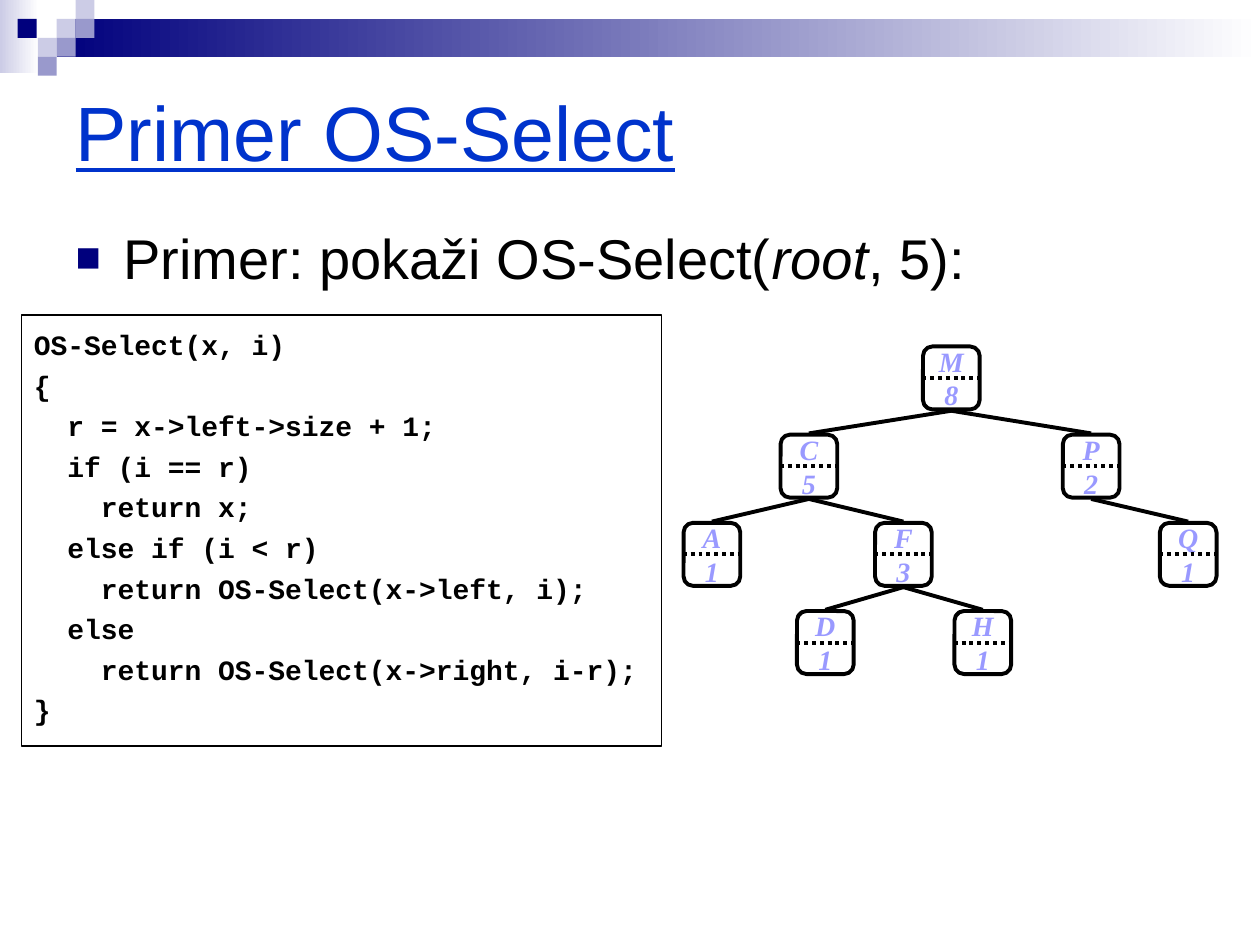
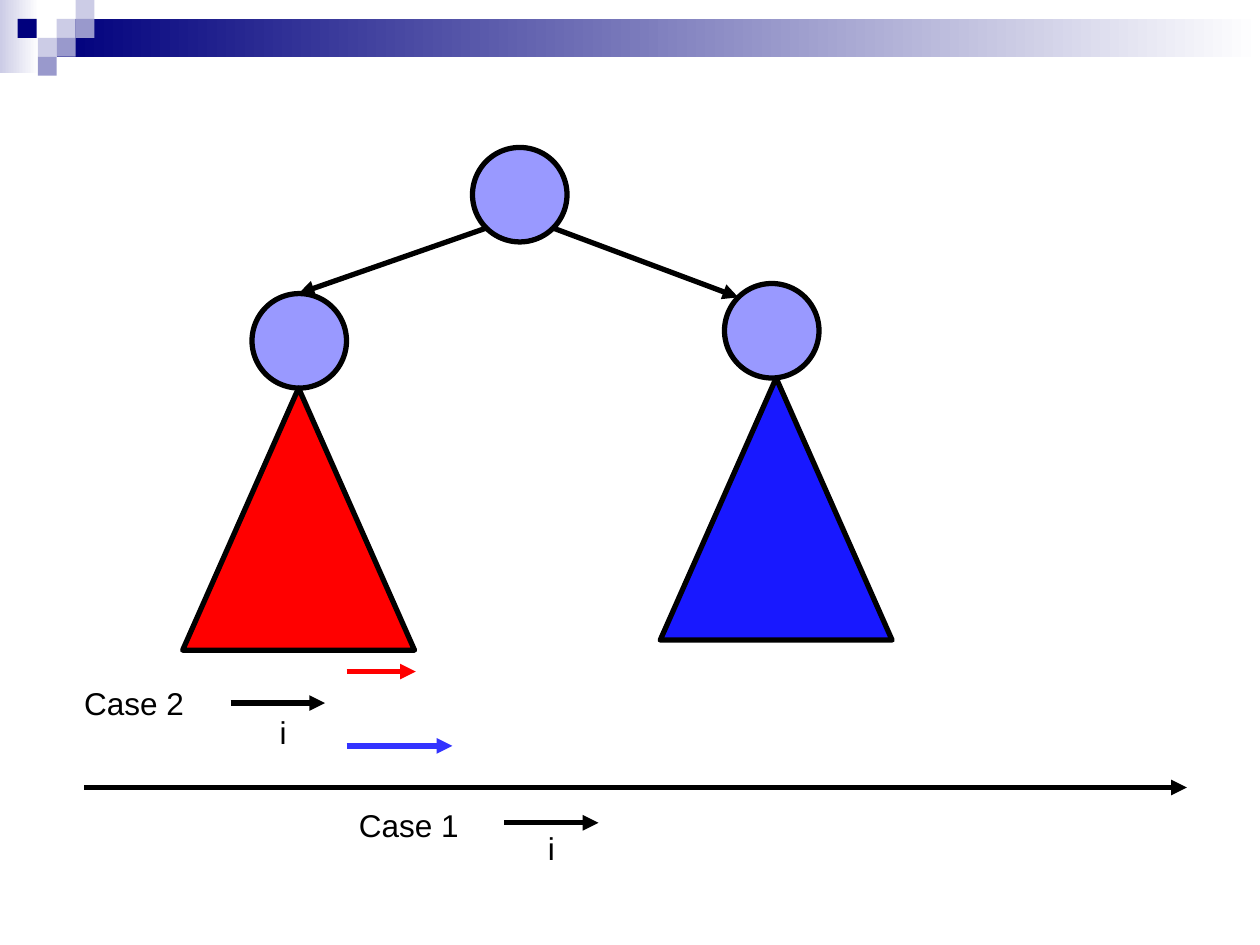
from dataclasses import dataclass

from lxml import etree
from pptx import Presentation
from pptx.dml.color import RGBColor
from pptx.enum.dml import MSO_LINE
from pptx.enum.shapes import MSO_CONNECTOR, MSO_SHAPE
from pptx.enum.text import MSO_ANCHOR, MSO_AUTO_SIZE, PP_ALIGN
from pptx.oxml.ns import qn
from pptx.util import Inches, Pt

# Enum members
RECTANGLE = MSO_SHAPE.RECTANGLE
ROUNDED = MSO_SHAPE.ROUNDED_RECTANGLE
CIRCLE = MSO_SHAPE.OVAL
TRIANGLE = MSO_SHAPE.ISOSCELES_TRIANGLE
STRAIGHT = MSO_CONNECTOR.STRAIGHT
DOTTED = MSO_LINE.ROUND_DOT
LEFT, CENTER = PP_ALIGN.LEFT, PP_ALIGN.CENTER
TOP, MIDDLE = MSO_ANCHOR.TOP, MSO_ANCHOR.MIDDLE
FIXED_SIZE, FIT_TEXT = MSO_AUTO_SIZE.NONE, MSO_AUTO_SIZE.SHAPE_TO_FIT_TEXT

# Colours and fonts
BLACK = RGBColor(0x00, 0x00, 0x00)
WHITE = RGBColor(0xFF, 0xFF, 0xFF)
NAVY = RGBColor(0x00, 0x00, 0x7D)
PALE = RGBColor(0xCC, 0xCC, 0xE6)
LAVENDER = RGBColor(0x99, 0x99, 0xCC)
PERIWINKLE = RGBColor(0x99, 0x99, 0xFF)
TITLE_BLUE = RGBColor(0x00, 0x33, 0xCC)
TREE_BLUE = RGBColor(0x18, 0x18, 0xFF)
ARROW_BLUE = RGBColor(0x33, 0x33, 0xFF)
RED = RGBColor(0xFF, 0x00, 0x00)
SANS, MONO, SERIF = "Arial", "Courier New", "Times New Roman"

CODE = """OS-Select(x, i)
{
  r = x->left->size + 1;
  if (i == r)
    return x;
  else if (i < r)
    return OS-Select(x->left, i);
  else
    return OS-Select(x->right, i-r);
}"""


@dataclass(frozen=True)
class Tile:
    left: float
    top: float
    color: RGBColor


@dataclass(frozen=True)
class TreeNode:
    key: str
    size: int
    center: float
    depth: int
    parent: str = ""


@dataclass(frozen=True)
class Arrow:
    start: tuple[float, float]
    end: tuple[float, float]
    color: RGBColor = BLACK


@dataclass(frozen=True)
class Figure:
    kind: MSO_SHAPE
    left: float
    top: float
    width: float
    height: float
    color: RGBColor


@dataclass(frozen=True)
class Label:
    text: str
    left: float
    top: float
    width: float
    wraps: bool


TILE_SIZE = 0.15
TILES = [
    Tile(0.45, 0.15, PALE),
    Tile(0.6, 0, PALE),
    Tile(0.6, 0.15, LAVENDER),
    Tile(0.3, 0.3, PALE),
    Tile(0.14, 0.15, NAVY),
    Tile(0.45, 0.3, LAVENDER),
    Tile(0.3, 0.45, LAVENDER),
]

TREE = [
    TreeNode("M", 8, 7.55, 0),
    TreeNode("C", 5, 6.42, 1, "M"),
    TreeNode("P", 2, 8.66, 1, "M"),
    TreeNode("Q", 1, 9.43, 2, "P"),
    TreeNode("A", 1, 5.65, 2, "C"),
    TreeNode("F", 3, 7.17, 2, "C"),
    TreeNode("D", 1, 6.55, 3, "F"),
    TreeNode("H", 1, 7.8, 3, "F"),
]
TREE_TOP, LEVEL_STEP = 2.75, 0.7
NODE_WIDTH, NODE_HEIGHT = 0.45, 0.5

DIAMETER = 0.75
FIGURES = [
    Figure(CIRCLE, 3.75, 1.17, DIAMETER, DIAMETER, PERIWINKLE),
    Figure(CIRCLE, 5.75, 2.25, DIAMETER, DIAMETER, PERIWINKLE),
    Figure(CIRCLE, 2, 2.33, DIAMETER, DIAMETER, PERIWINKLE),
    Figure(TRIANGLE, 1.45, 3.08, 1.84, 2.08, RED),
    Figure(TRIANGLE, 5.24, 3, 1.84, 2.08, TREE_BLUE),
]
ARROWS = [
    Arrow((3.86, 1.81), (2.37, 2.33)),
    Arrow((4.39, 1.81), (5.86, 2.36)),
    Arrow((1.83, 5.58), (2.58, 5.58)),
    Arrow((2.75, 5.33), (3.3, 5.33), RED),
    Arrow((0.67, 6.25), (9.42, 6.25)),
    Arrow((2.75, 5.92), (3.59, 5.92), ARROW_BLUE),
    Arrow((4, 6.53), (4.75, 6.53)),
]
LABELS = [
    Label("i", 2.12, 5.61, 0.25, False),
    Label("i", 4.25, 6.53, 0.25, False),
    Label("Case 2", 0.57, 5.38, 1.79, True),
    Label("Case 1", 2.75, 6.35, 1.79, True),
]


# Drawing helpers
def set_font(paragraph, name: str, size: float, color: RGBColor,
             bold: bool = False, italic: bool = False) -> None:
    font = paragraph.font
    font.name, font.size, font.bold, font.italic = name, Pt(size), bold, italic
    font.color.rgb = color


def place(shape, left: float, top: float, width: float, height: float) -> None:
    shape.left, shape.top = Inches(left), Inches(top)
    shape.width, shape.height = Inches(width), Inches(height)


def add_figure(slide, kind: MSO_SHAPE, left: float, top: float, width: float,
               height: float, color: RGBColor | None = None, line_width: float = 0):
    shape = slide.shapes.add_shape(
        kind, Inches(left), Inches(top), Inches(width), Inches(height))
    shape.shadow.inherit = False
    if color is None:
        shape.fill.background()
    else:
        shape.fill.solid()
        shape.fill.fore_color.rgb = color
    if line_width:
        shape.line.color.rgb = BLACK
        shape.line.width = Pt(line_width)
    else:
        shape.line.fill.background()
    return shape


def add_fade(slide, left: float, top: float, width: float, height: float,
             color: RGBColor) -> None:
    shape = add_figure(slide, RECTANGLE, left, top, width, height)
    shape.fill.gradient()
    shape.fill.gradient_angle = 0
    for stop, stop_color in zip(shape.fill.gradient_stops, (color, WHITE)):
        stop.color.rgb = stop_color


def add_line(slide, start: tuple[float, float], end: tuple[float, float],
             width: float, color: RGBColor = BLACK):
    line = slide.shapes.add_connector(
        STRAIGHT, *(Inches(value) for value in (*start, *end)))
    line.line.color.rgb = color
    line.line.width = Pt(width)
    etree.SubElement(line.element.spPr, qn("a:effectLst"))
    return line


def add_arrow(slide, arrow: Arrow) -> None:
    line = add_line(slide, arrow.start, arrow.end, 3, arrow.color)
    outline = line.element.spPr.find(qn("a:ln"))
    etree.SubElement(outline, qn("a:tailEnd"), type="triangle")


def add_label(slide, label: Label) -> None:
    box = slide.shapes.add_textbox(
        Inches(label.left), Inches(label.top), Inches(label.width), Inches(0.4))
    frame = box.text_frame
    frame.word_wrap = label.wraps
    frame.auto_size = FIT_TEXT
    frame.text = label.text
    set_font(frame.paragraphs[0], SANS, 18, BLACK)


def add_bullet(paragraph) -> None:
    properties = paragraph._p.get_or_add_pPr()
    properties.set("marL", str(Inches(0.38)))
    properties.set("indent", str(-Inches(0.38)))
    color = etree.SubElement(properties, qn("a:buClr"))
    etree.SubElement(color, qn("a:srgbClr"), val=str(NAVY))
    etree.SubElement(properties, qn("a:buSzPct"), val="75000")
    etree.SubElement(properties, qn("a:buFont"), typeface=SANS)
    etree.SubElement(properties, qn("a:buChar"), char="■")


def add_slide(deck, layout_index: int):
    """Add a slide with the shared band and tiles along its top."""
    slide = deck.slides.add_slide(deck.slide_layouts[layout_index])
    add_fade(slide, 0, 0, 0.31, 0.58, PALE)
    add_fade(slide, 0.45, 0.15, 9.55, 0.3, NAVY)
    for tile in TILES:
        add_figure(slide, RECTANGLE, tile.left, tile.top, TILE_SIZE, TILE_SIZE, tile.color)
    return slide


# Parts of the example slide
def fill_title(title) -> None:
    place(title, 0.5, 0.5, 9, 1.08)
    frame = title.text_frame
    frame.text = "Primer OS-Select"
    frame.vertical_anchor = MIDDLE
    frame.auto_size = FIXED_SIZE
    paragraph = frame.paragraphs[0]
    paragraph.alignment = LEFT
    set_font(paragraph, SANS, 44, TITLE_BLUE)
    paragraph.font.underline = True


def fill_body(body) -> None:
    place(body, 0.5, 1.67, 9, 4.25)
    frame = body.text_frame
    frame.auto_size = FIXED_SIZE
    frame.margin_top = Inches(0.1)
    paragraph = frame.paragraphs[0]
    paragraph.space_before = Pt(0)
    add_bullet(paragraph)
    set_font(paragraph, SANS, 32, BLACK)
    for text, italic in (("Primer: pokaži OS-Select(", False), ("root", True), (", 5):", False)):
        span = paragraph.add_run()
        span.text = text
        if italic:
            span.font.italic = True


def add_code(slide) -> None:
    box = add_figure(slide, RECTANGLE, 0.17, 2.5, 5.08, 3.42, line_width=0.75)
    frame = box.text_frame
    frame.word_wrap = True
    frame.vertical_anchor = TOP
    frame.margin_top = Inches(0.1)
    frame.text = CODE
    for index, paragraph in enumerate(frame.paragraphs):
        paragraph.alignment = LEFT
        paragraph.space_before = Pt(4 if index else 0)
        set_font(paragraph, MONO, 16, BLACK, bold=True)


def add_tree(slide) -> None:
    nodes = {node.key: node for node in TREE}
    for node in TREE:
        top = TREE_TOP + node.depth * LEVEL_STEP
        box = add_figure(slide, ROUNDED, node.center - NODE_WIDTH / 2, top,
                         NODE_WIDTH, NODE_HEIGHT, line_width=2.25)
        frame = box.text_frame
        frame.word_wrap = False
        frame.vertical_anchor = MIDDLE
        frame.text = f"{node.key}\v{node.size}"
        frame.paragraphs[0].alignment = CENTER
        set_font(frame.paragraphs[0], SERIF, 16, PERIWINKLE, bold=True, italic=True)

        middle = top + NODE_HEIGHT / 2
        divider = add_line(slide, (node.center - 0.23, middle), (node.center + 0.23, middle), 2.25)
        divider.line.dash_style = DOTTED
        if node.parent:
            parent_bottom = top - LEVEL_STEP + NODE_HEIGHT
            add_line(slide, (nodes[node.parent].center, parent_bottom + 0.01),
                     (node.center, top - 0.01), 2.25)


def build_example(deck) -> None:
    slide = add_slide(deck, 1)
    fill_title(slide.shapes.title)
    fill_body(slide.placeholders[1])
    add_tree(slide)
    add_code(slide)


def build_cases(deck) -> None:
    slide = add_slide(deck, 6)
    for figure in FIGURES:
        add_figure(slide, figure.kind, figure.left, figure.top,
                   figure.width, figure.height, figure.color, line_width=3)
    for arrow in ARROWS:
        add_arrow(slide, arrow)
    for label in LABELS:
        add_label(slide, label)


def main() -> None:
    deck = Presentation()
    deck.slide_width, deck.slide_height = Inches(10), Inches(7.5)
    build_example(deck)
    build_cases(deck)
    deck.save("out.pptx")


if __name__ == "__main__":
    main()
